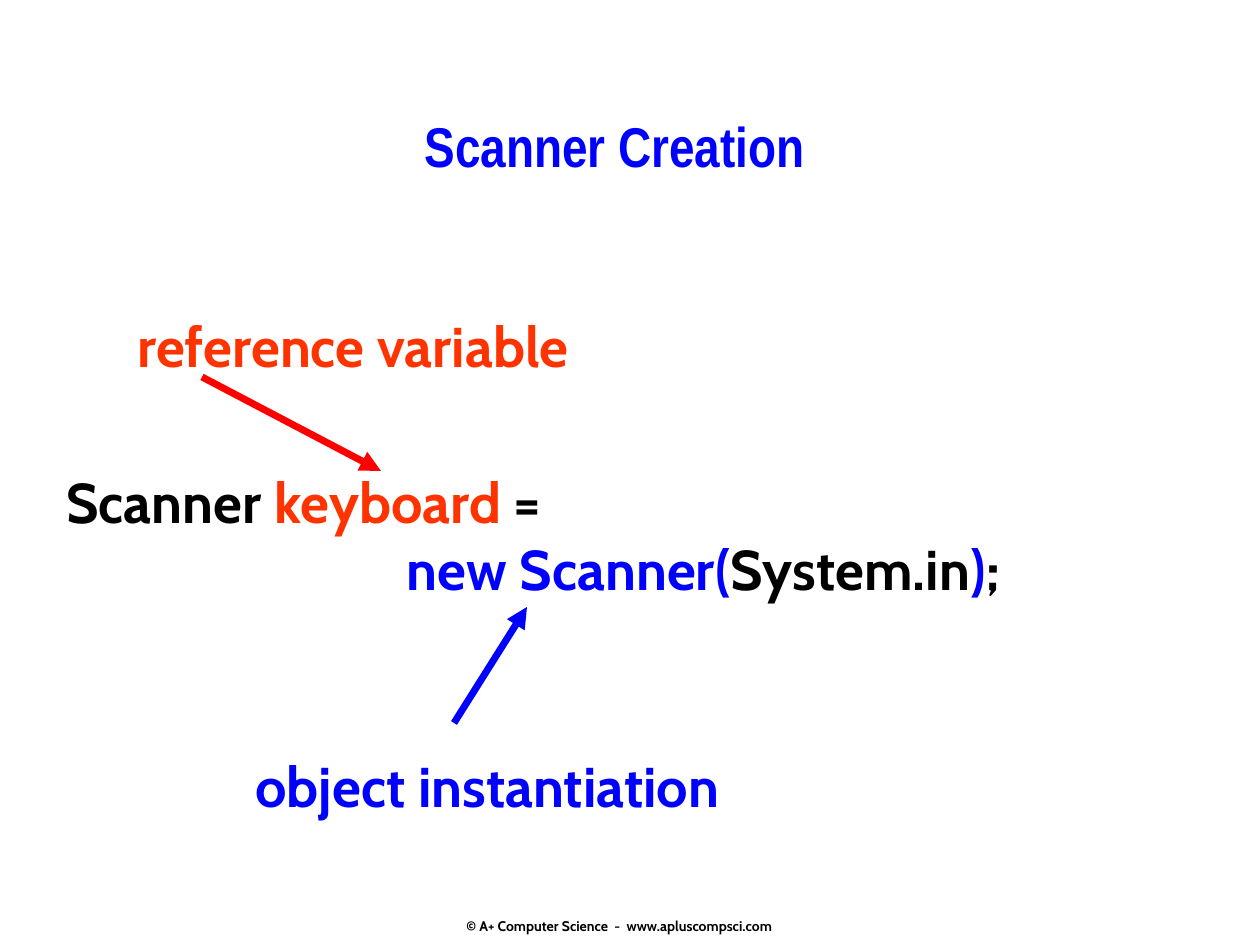
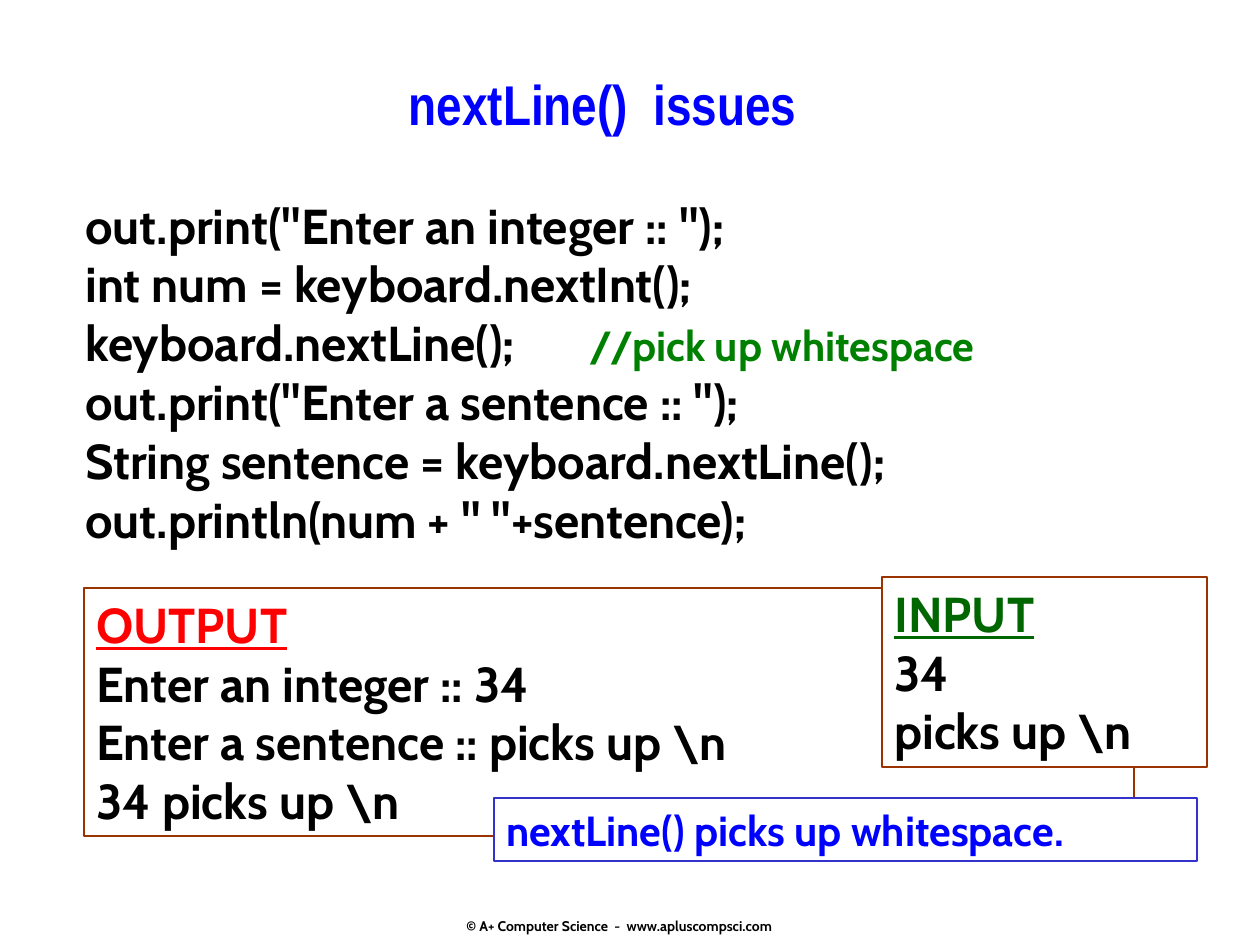
from dataclasses import dataclass

from lxml.etree import SubElement
from pptx import Presentation
from pptx.dml.color import RGBColor
from pptx.enum.shapes import MSO_CONNECTOR as Connector, MSO_SHAPE as Shape
from pptx.enum.text import MSO_ANCHOR as Anchor, MSO_AUTO_SIZE as AutoSize, PP_ALIGN as Align
from pptx.oxml.ns import qn
from pptx.util import Emu, Pt

PX_PER_INCH = 126
TAB_INCHES = range(1, 8)


@dataclass(frozen=True)
class Theme:
    body_font: str = "Cabin"
    title_font: str = "Arial Narrow"
    black: str = "000000"
    white: str = "FFFFFF"
    blue: str = "0000FF"
    red: str = "FF0000"
    orange: str = "FF3300"
    comment_green: str = "008000"
    input_green: str = "006600"
    brown: str = "993300"
    callout_blue: str = "3333CC"
    large: int = 32
    code: int = 28
    remark: int = 24
    footer: int = 8


THEME = Theme()


def px(length):
    return Emu(round(length * 914400 / PX_PER_INCH))


def rgb(color):
    return RGBColor.from_string(color)


def set_inch_tabs(paragraph):
    tab_list = SubElement(paragraph._p.get_or_add_pPr(), qn("a:tabLst"))
    for inch in TAB_INCHES:
        SubElement(tab_list, qn("a:tab"), pos=str(px(inch * PX_PER_INCH)), algn="l")


def write(frame, lines, size=THEME.large, color=THEME.black, font=THEME.body_font,
          align=Align.LEFT, wrap=True):
    """Fill a frame; a line is a string or a list of (text, overrides) runs."""
    frame.word_wrap = wrap
    frame.auto_size = AutoSize.NONE
    frame.vertical_anchor = Anchor.TOP
    for index, line in enumerate(lines):
        paragraph = frame.add_paragraph() if index else frame.paragraphs[0]
        paragraph.alignment = align
        runs = [(line, {})] if isinstance(line, str) else line
        if any("\t" in text for text, _ in runs):
            set_inch_tabs(paragraph)
        for text, overrides in runs:
            run = paragraph.add_run()
            run.text = text
            run.font.name = font
            run.font.bold = True
            run.font.size = Pt(overrides.get("size", size))
            run.font.color.rgb = rgb(overrides.get("color", color))
            if overrides.get("underline"):
                run.font.underline = True


def add_label(slide, box, text, **text_format):
    label = slide.shapes.add_textbox(*map(px, box))
    write(label.text_frame, [text], **text_format)


def add_panel(slide, box, lines, fill=THEME.white, border=None, border_width=1, **text_format):
    panel = slide.shapes.add_shape(Shape.RECTANGLE, *map(px, box))
    panel.shadow.inherit = False
    if fill:
        panel.fill.solid()
        panel.fill.fore_color.rgb = rgb(fill)
    else:
        panel.fill.background()
    if border:
        panel.line.color.rgb = rgb(border)
        panel.line.width = Pt(border_width)
    else:
        panel.line.fill.background()
    write(panel.text_frame, lines, **text_format)


def add_arrow(slide, start, end, color):
    arrow = slide.shapes.add_connector(Connector.STRAIGHT, *map(px, (*start, *end)))
    arrow.line.color.rgb = rgb(color)
    arrow.line.width = Pt(4)
    properties = arrow.element.spPr
    SubElement(properties.find(qn("a:ln")), qn("a:tailEnd"), type="triangle")
    SubElement(properties, qn("a:effectLst"))


def add_slide(deck, title, title_box):
    """Add a slide with its title and the shared footer."""
    slide = deck.slides.add_slide(deck.slide_layouts[5])
    heading = slide.shapes.title
    heading.left, heading.top, heading.width, heading.height = map(px, title_box)
    write(heading.text_frame, [title], color=THEME.blue, font=THEME.title_font,
          align=Align.CENTER)
    add_label(slide, (420, 911, 399, 30), "© A+ Computer Science  -  www.apluscompsci.com",
              size=THEME.footer, align=Align.CENTER)
    return slide


def build_scanner_creation(deck):
    slide = add_slide(deck, "Scanner Creation", (95, 105, 1040, 105))
    orange, blue = {"color": THEME.orange}, {"color": THEME.blue}
    add_panel(slide, (54, 461, 1166, 282), [
        [("Scanner ", {}), ("keyboard", orange), (" =", {})],
        [("\t\t       ", {}), ("new Scanner(", blue), ("System.in", {}),
         (")", blue), (";", {})],
    ])
    add_arrow(slide, (202, 377), (381, 471), THEME.red)
    add_label(slide, (125, 305, 538, 81), "reference variable", wrap=False, **orange)
    add_arrow(slide, (454, 723), (527, 607), THEME.blue)
    add_label(slide, (243, 745, 578, 81), "object instantiation", wrap=False, **blue)


def build_next_line_issues(deck):
    slide = add_slide(deck, "nextLine()  issues", (220, 63, 766, 105))
    add_panel(slide, (73, 189, 1166, 365), [
        'out.print("Enter an integer :: ");',
        "int num = keyboard.nextInt();",
        [("keyboard.nextLine();\t", {}),
         ("//pick up whitespace", {"size": THEME.remark, "color": THEME.comment_green})],
        'out.print("Enter a sentence :: ");',
        "String sentence = keyboard.nextLine();",
        'out.println(num + " "+sentence);',
    ], size=THEME.code)
    add_panel(slide, (84, 588, 1050, 248), [
        [("OUTPUT", {"color": THEME.red, "underline": True})],
        "Enter an integer :: 34",
        "Enter a sentence :: picks up \\n",
        "34 picks up \\n",
    ], fill=None, border=THEME.brown, size=THEME.code)
    add_panel(slide, (882, 577, 325, 190), [
        [("INPUT", {"color": THEME.input_green, "underline": True})],
        "34",
        "picks up \\n",
    ], border=THEME.brown, size=THEME.code)
    add_panel(slide, (494, 798, 703, 63), ["nextLine() picks up whitespace."],
              border=THEME.callout_blue, border_width=0.75,
              size=THEME.remark, color=THEME.blue)


def main():
    deck = Presentation()
    deck.slide_width, deck.slide_height = px(1260), px(945)
    build_scanner_creation(deck)
    build_next_line_issues(deck)
    deck.save("out.pptx")


if __name__ == "__main__":
    main()
